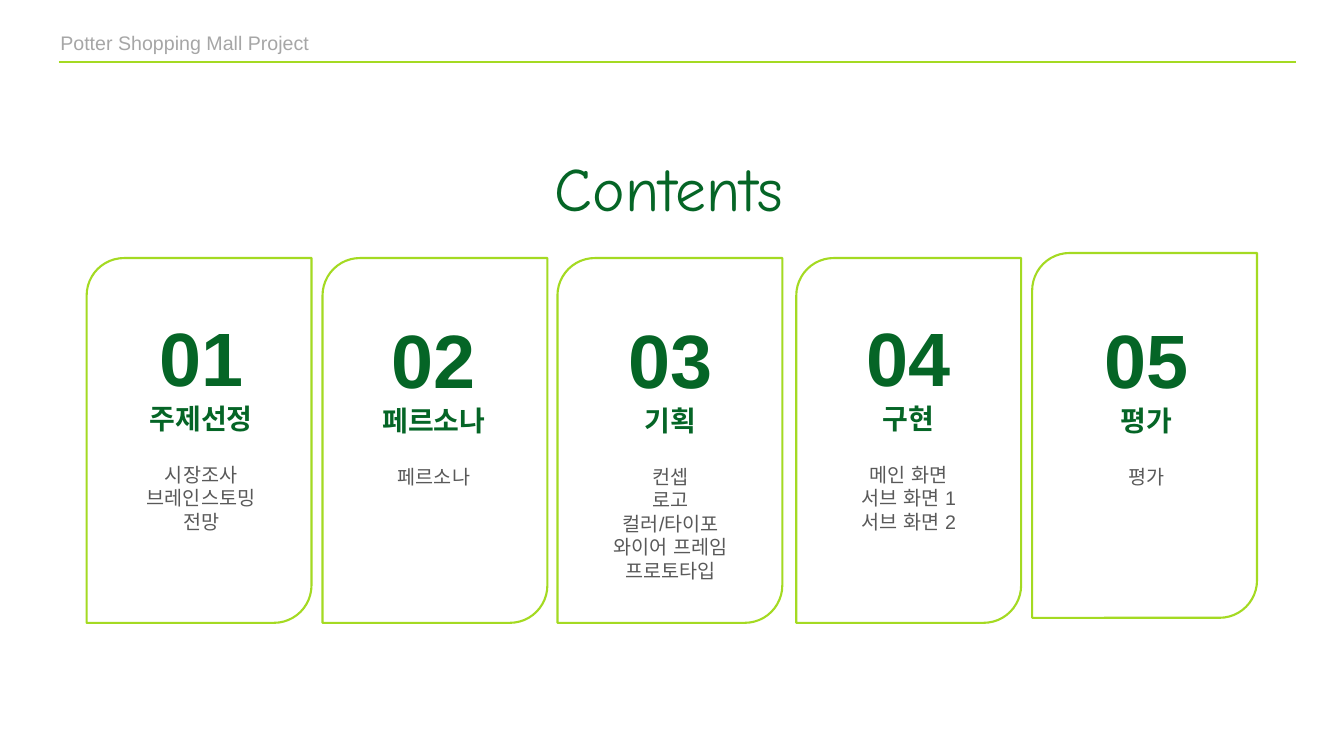
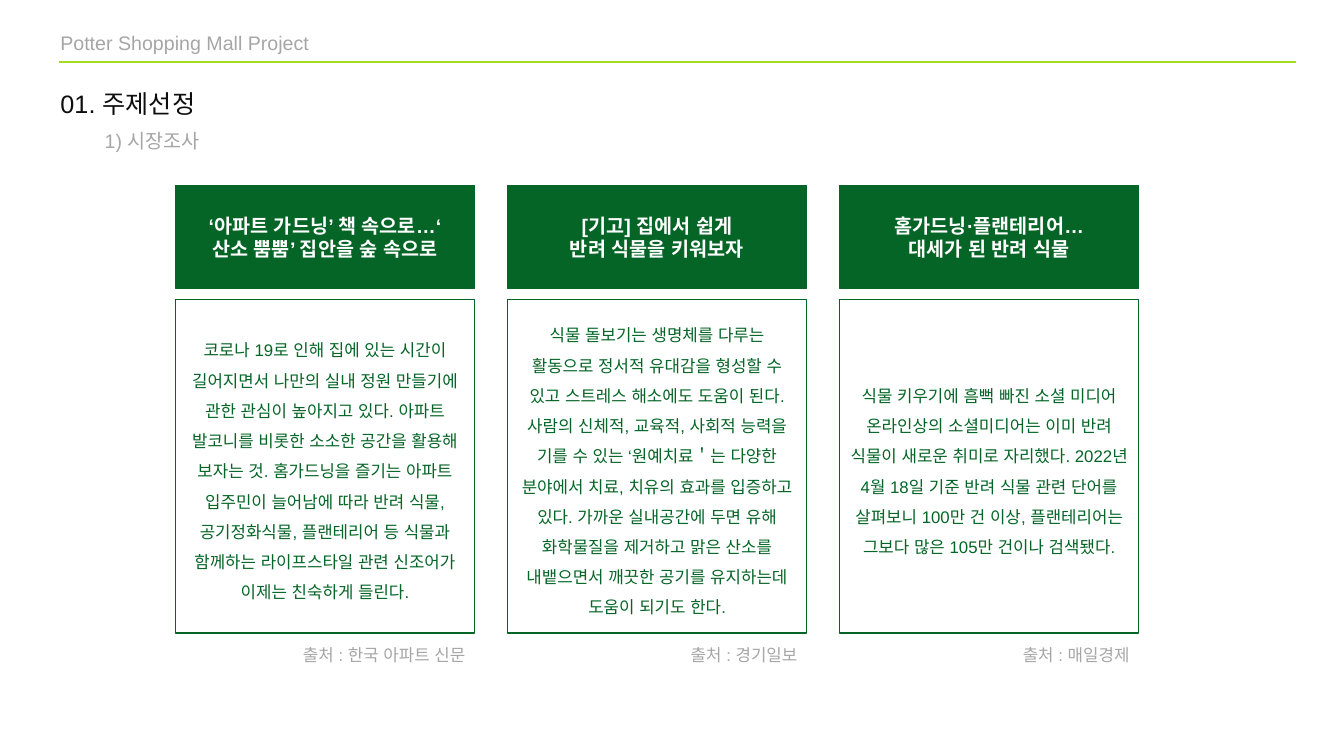
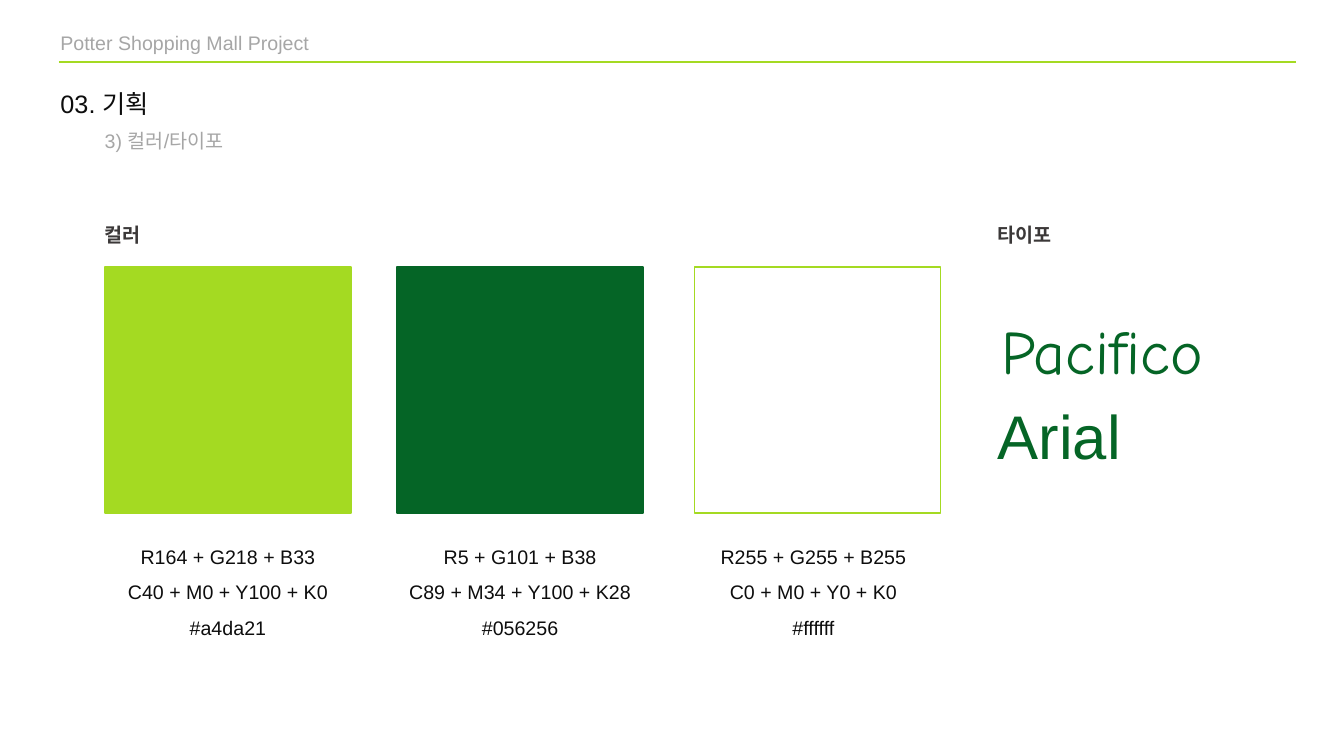
from dataclasses import dataclass

from lxml import etree
from pptx import Presentation
from pptx.dml.color import RGBColor
from pptx.enum.lang import MSO_LANGUAGE_ID as Language
from pptx.enum.shapes import MSO_CONNECTOR as Connector, MSO_SHAPE as Preset
from pptx.enum.text import MSO_ANCHOR as Anchor, MSO_AUTO_SIZE as AutoSize, PP_ALIGN as Align
from pptx.oxml.ns import qn
from pptx.util import Pt


# Theme
@dataclass(frozen=True)
class Theme:
    lime: str = "A4DA22"
    green: str = "056526"
    white: str = "FFFFFF"
    ink: str = "0D0D0D"
    heading: str = "3B3838"
    gray: str = "595959"
    pale: str = "A6A6A6"
    sans: str = "Arial"
    script: str = "Comic Neue"
    display: float = 44
    number: float = 54
    card_title: float = 20
    section: float = 18
    body: float = 14
    small: float = 12
    thin: float = 1
    rule: float = 1.5


THEME = Theme()


@dataclass(frozen=True)
class Box:
    left: float
    top: float
    width: float
    height: float


@dataclass(frozen=True)
class Style:
    size: float = THEME.body
    color: str = THEME.ink
    bold: bool = False
    font: str = THEME.sans
    align: Align = Align.LEFT
    spacing: float = 1.0


@dataclass(frozen=True)
class Card:
    number: str
    title: str
    items: str
    left: float
    top: float
    text_left: float
    text_top: float


@dataclass(frozen=True)
class Article:
    headline: str
    summary: str
    source: str


@dataclass(frozen=True)
class Swatch:
    codes: str
    fill: str
    line: str
    left: float
    caption_left: float


# Content
CARDS = [
    Card("01", "주제선정", "시장조사\n브레인스토밍\n전망", 61.9, 184.3, 63.4, 218.2),
    Card("02", "페르소나", "페르소나", 230.4, 184.3, 229.7, 219.6),
    Card("03", "기획", "컨셉\n로고\n컬러/타이포\n와이어 프레임\n프로토타입", 398.2, 184.3, 398.9, 219.6),
    Card("04", "구현", "메인 화면\n서브 화면 1\n서브 화면 2", 568.8, 184.3, 568.8, 218.2),
    Card("05", "평가", "평가", 737.3, 180.7, 738.7, 220),
]

ARTICLES = [
    Article(
        "‘아파트 가드닝’ 책 속으로…‘\n산소 뿜뿜’ 집안을 숲 속으로",
        "코로나 19로 인해 집에 있는 시간이 길어지면서 나만의 실내 정원 만들기에 관한 관심이 "
        "높아지고 있다. 아파트 발코니를 비롯한 소소한 공간을 활용해 보자는 것. 홈가드닝을 즐기는 "
        "아파트 입주민이 늘어남에 따라 반려 식물, 공기정화식물, 플랜테리어 등 식물과 함께하는 "
        "라이프스타일 관련 신조어가 이제는 친숙하게 들린다.",
        "출처 : 한국 아파트 신문",
    ),
    Article(
        "[기고] 집에서 쉽게\n반려 식물을 키워보자",
        "식물 돌보기는 생명체를 다루는 활동으로 정서적 유대감을 형성할 수 있고 스트레스 해소에도 "
        "도움이 된다. 사람의 신체적, 교육적, 사회적 능력을 기를 수 있는 ‘원예치료＇는 다양한 "
        "분야에서 치료, 치유의 효과를 입증하고 있다. 가까운 실내공간에 두면 유해 화학물질을 "
        "제거하고 맑은 산소를 내뱉으면서 깨끗한 공기를 유지하는데 도움이 되기도 한다.",
        "출처 : 경기일보",
    ),
    Article(
        "홈가드닝·플랜테리어…\n대세가 된 반려 식물",
        "식물 키우기에 흠뻑 빠진 소셜 미디어 온라인상의 소셜미디어는 이미 반려 식물이 새로운 "
        "취미로 자리했다. 2022년 4월 18일 기준 반려 식물 관련 단어를 살펴보니 100만 건 이상, "
        "플랜테리어는 그보다 많은 105만 건이나 검색됐다.",
        "출처 : 매일경제",
    ),
]

SWATCHES = [
    Swatch("R164 + G218 + B33\nC40 + M0 + Y100 + K0\n#a4da21", THEME.lime, THEME.lime, 75, 75),
    Swatch("R5 + G101 + B38\nC89 + M34 + Y100 + K28\n#056256", THEME.green, THEME.green, 283.7, 283.7),
    Swatch("R255 + G255 + B255\nC0 + M0 + Y0 + K0\n#ffffff", THEME.white, THEME.lime, 496, 493.2),
]


# Drawing helpers
def rgb(color: str) -> RGBColor:
    return RGBColor.from_string(color)


def points(box: Box) -> tuple:
    return Pt(box.left), Pt(box.top), Pt(box.width), Pt(box.height)


def format_paragraph(paragraph, style: Style) -> None:
    paragraph.alignment = style.align
    paragraph.line_spacing = style.spacing
    for run in paragraph.runs:
        font = run.font
        font.name = style.font
        font.size = Pt(style.size)
        font.bold = style.bold
        font.color.rgb = rgb(style.color)
        font.language_id = Language.KOREAN
        # Hangul takes the same typeface as Latin text
        latin = run._r.rPr.find(qn("a:latin"))
        east_asian = etree.Element(qn("a:ea"), typeface=style.font)
        latin.addnext(east_asian)


def fill_text(shape, text: str, *styles: Style, anchor: Anchor = Anchor.TOP) -> None:
    """Write one paragraph a line; the last style covers the remaining lines."""
    frame = shape.text_frame
    frame.text = text
    frame.word_wrap = True
    frame.vertical_anchor = anchor
    for index, paragraph in enumerate(frame.paragraphs):
        format_paragraph(paragraph, styles[min(index, len(styles) - 1)])


def add_text(slide, box: Box, text: str, *styles: Style) -> None:
    shape = slide.shapes.add_textbox(*points(box))
    fill_text(shape, text, *styles)
    shape.text_frame.auto_size = AutoSize.SHAPE_TO_FIT_TEXT


def add_panel(slide, box: Box, line: str, fill: str = "", preset: Preset = Preset.RECTANGLE,
              weight: float = THEME.thin):
    shape = slide.shapes.add_shape(preset, *points(box))
    shape.shadow.inherit = False
    if fill:
        shape.fill.solid()
        shape.fill.fore_color.rgb = rgb(fill)
    else:
        shape.fill.background()
    shape.line.color.rgb = rgb(line)
    shape.line.width = Pt(weight)
    return shape


def set_title(slide, box: Box, text: str, style: Style) -> None:
    title = slide.shapes.title
    title.left, title.top, title.width, title.height = points(box)
    fill_text(title, text, style)
    title.text_frame.auto_size = AutoSize.SHAPE_TO_FIT_TEXT


# Shared slide frame
def new_slide(presentation):
    slide = presentation.slides.add_slide(presentation.slide_layouts[5])
    add_text(slide, Box(36, 18.7, 350.6, 24.5), "Potter Shopping Mall Project", Style(color=THEME.pale))
    rule = slide.shapes.add_connector(Connector.STRAIGHT, Pt(42), Pt(44.6), Pt(925.4), Pt(44.6))
    rule.line.color.rgb = rgb(THEME.lime)
    rule.line.width = Pt(THEME.rule)
    etree.SubElement(rule._element.spPr, qn("a:effectLst"))
    return slide


def new_section_slide(presentation, title: str, subtitle: str):
    slide = new_slide(presentation)
    set_title(slide, Box(36, 59.8, 350.6, 28.8), title, Style(THEME.section))
    add_text(slide, Box(67.7, 88.6, 350.6, 24.5), subtitle, Style(color=THEME.pale))
    return slide


# Slides
def build_contents(presentation) -> None:
    slide = new_slide(presentation)
    set_title(slide, Box(161.3, 103.7, 633.6, 60.5), "Contents",
              Style(THEME.display, THEME.green, font=THEME.script, align=Align.CENTER))
    number = Style(THEME.number, THEME.green, True, align=Align.CENTER)
    name = Style(THEME.card_title, THEME.green, True, align=Align.CENTER)
    item = Style(color=THEME.gray, align=Align.CENTER)
    width = 160.6
    for card in CARDS:
        add_panel(slide, Box(card.left, card.top, width, 260.6), THEME.lime,
                  preset=Preset.ROUND_2_DIAG_RECTANGLE, weight=THEME.rule)
        add_text(slide, Box(card.text_left, card.text_top, width, 97.2),
                 f"{card.number}\n{card.title}", number, name)
        lines = card.items.count("\n") + 1
        add_text(slide, Box(card.text_left, card.text_top + 108.7, width, 7.2 + 17 * lines),
                 card.items, item)


def build_research(presentation) -> None:
    slide = new_section_slide(presentation, "01. 주제선정", "1) 시장조사")
    headline = Style(color=THEME.white, bold=True, align=Align.CENTER)
    summary = Style(THEME.small, THEME.green, align=Align.CENTER, spacing=1.5)
    source = Style(THEME.small, THEME.pale, align=Align.RIGHT)
    width, step = 213.8, 237.2
    for index, article in enumerate(ARTICLES):
        left = 125.3 + index * step
        header = add_panel(slide, Box(left, 132.6, width, 73.4), THEME.green, THEME.green)
        fill_text(header, article.headline, headline, anchor=Anchor.MIDDLE)
        body = add_panel(slide, Box(left, 213.8, width, 238.3), THEME.green, THEME.white)
        fill_text(body, article.summary, summary, anchor=Anchor.MIDDLE)
        add_text(slide, Box(left + 70.2, 457.2, 144, 21.6), article.source, source)


def build_identity(presentation) -> None:
    slide = new_section_slide(presentation, "03. 기획", "3) 컬러/타이포")
    heading = Style(color=THEME.heading, bold=True)
    codes = Style(align=Align.CENTER, spacing=1.5)

    # Colours
    add_text(slide, Box(67.7, 155.5, 350.6, 24.5), "컬러", heading)
    side = 175.7
    for swatch in SWATCHES:
        add_panel(slide, Box(swatch.left, 190.8, side, side), swatch.line, swatch.fill)
        add_text(slide, Box(swatch.caption_left, 377.3, side, 83.5), swatch.codes, codes)

    # Typefaces
    add_text(slide, Box(705.6, 155.5, 164.2, 24.5), "타이포", heading)
    add_text(slide, Box(708.5, 220.3, 200.2, 60.5), "Pacifico",
             Style(THEME.display, THEME.green, font=THEME.script))
    add_text(slide, Box(705.6, 280.8, 190, 60.5), "Arial", Style(THEME.display, THEME.green))


def main() -> None:
    presentation = Presentation()
    presentation.slide_width, presentation.slide_height = Pt(960), Pt(540)
    build_contents(presentation)
    build_research(presentation)
    build_identity(presentation)
    presentation.save("out.pptx")


if __name__ == "__main__":
    main()
